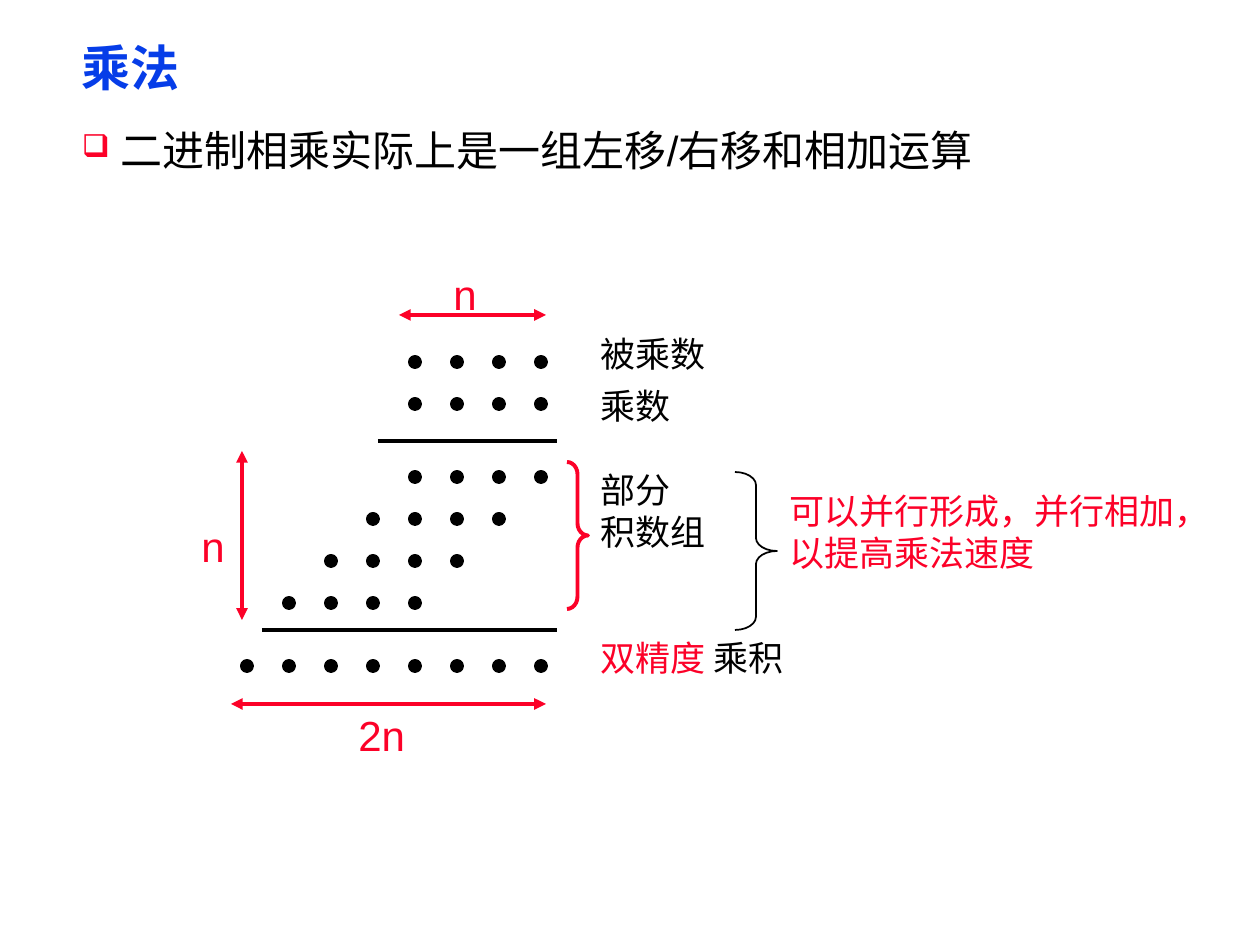
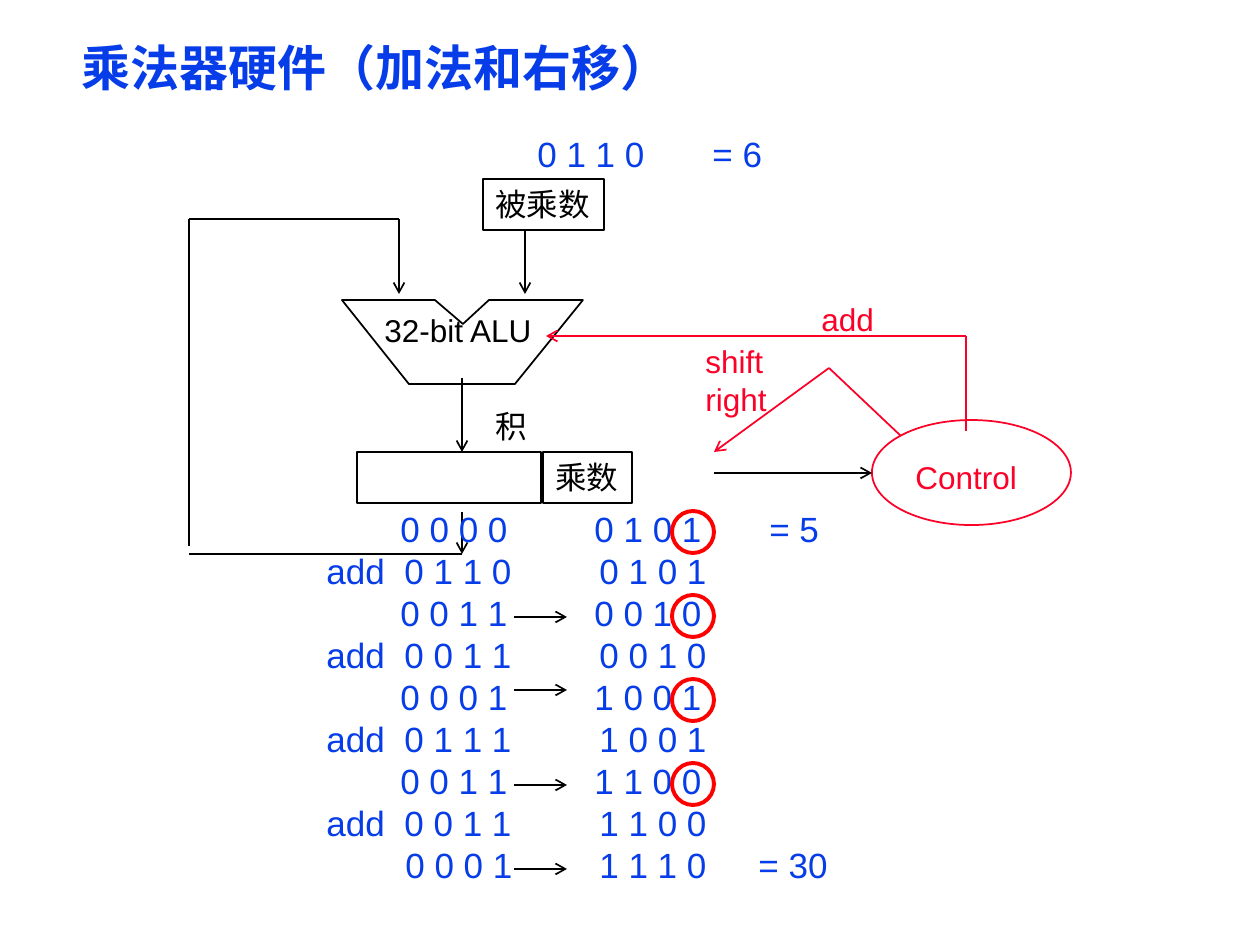
"""Builds two slides on binary multiplication: dot diagram and multiplier hardware."""
from dataclasses import dataclass
from lxml import etree
from pptx import Presentation
from pptx import util as u
from pptx.dml.color import RGBColor
from pptx.enum import lang, shapes, text
from pptx.oxml.ns import qn

EMU_PER_PX = 914400 // 126


@dataclass(frozen=True)
class Theme:
    font: str = "Arial"
    black: str = "000000"
    blue: str = "063DE8"
    red: str = "FC0128"
    ring: str = "FF0000"
    title: int = 28
    body: int = 24
    label: int = 20
    small: int = 18
    thick: float = 2.25
    thin: float = 1
    hair: float = 0.75


T = Theme()
TITLE_BOX = (73, 42, 1124, 58)
TITLES = ["乘法", "乘法器硬件(加法和右移)".replace("(", "(").replace(")", ")")]
TITLES[1] = "乘法器硬件\uff08加法和右移\uff09"
BULLET = "二进制相乘实际上是一组左移/右移和相加运算"

DOT_LEFT, DOT_STEP, DOT_SIZE = 242, 42, 10
DOT_ROWS = [(357, 4, 4), (399, 4, 4), (472, 4, 4), (514, 3, 4),
            (556, 2, 4), (598, 1, 4), (661, 0, 8)]
RULES = [(378, 441, 557, 441), (262, 630, 557, 630)]
SPANS = [(399, 315, 546, 315), (231, 704, 546, 704), (242, 620, 242, 451)]
SPAN_LABELS = [("n", 441, 262), ("2n", 346, 703), ("n", 189, 514)]
ROW_LABELS = [("被乘数", (588, 326, 399, 54)), ("乘数", (588, 378, 357, 54)),
              ("部分\n积数组", (588, 462, 220, 97)),
              ([("双精度 ", T.red), ("乘积", T.black)], (588, 630, 504, 55))]
BRACES = [((567, 462, 21, 147), 0.583, T.red, T.thick),
          ((735, 472, 42, 158), 0.312, T.black, T.thin)]
REMARK = ("可以并行形成\uff0c并行相加\uff0c以提高乘法速度", (777, 483, 451, 97))

ALU = [(342, 300), (435, 300), (463, 324), (489, 300), (583, 300), (515, 384), (409, 384)]
REGISTERS = [("被乘数", (483, 179, 121, 51)), ("", (357, 452, 184, 51)),
             ("乘数", (543, 452, 89, 51))]
CONTROL = (872, 420, 199, 105)
HARDWARE_LABELS = [("32-bit ALU", T.black, (372, 305, 174, 51)),
                   ("积", T.black, (483, 401, 57, 51)),
                   ("Control", T.red, (903, 452, 129, 51)),
                   ("add", T.red, (809, 294, 78, 51)),
                   ("shift\nright", T.red, (693, 336, 89, 89))]
WIRES = [(T.black, False, [(462, 554, 189, 554), (189, 546, 189, 219), (189, 219, 399, 219)]),
         (T.black, True, [(462, 378, 462, 452), (525, 229, 525, 294), (462, 512, 462, 554),
                          (399, 219, 399, 294), (714, 473, 872, 473)]),
         (T.red, False, [(966, 336, 966, 431), (901, 436, 829, 368)]),
         (T.red, True, [(966, 336, 546, 336), (829, 368, 714, 452)])]

STEP_TOP, STEP_PITCH = 501, 42
STEPS = ["0 0 0 0\t0 1 0 1\t= 5", "add\t0 1 1 0\t0 1 0 1", "0 0 1 1\t0 0 1 0",
         "add\t0 0 1 1\t0 0 1 0", "0 0 0 1\t1 0 0 1", "add\t0 1 1 1\t1 0 0 1",
         "0 0 1 1\t1 1 0 0", "add\t0 0 1 1\t1 1 0 0", "0 0 0 1\t1 1 1 0"]
ADD_LAYOUT = (314, 411, (78, 273))
VALUE_LAYOUT = (388, 338, (194, 369))
RINGS = [(672, 511 + 2 * STEP_PITCH * i, 42, 42) for i in range(4)]
SHIFT_YS = [617, 690, 785, 869]


def px(value):
    return u.Emu(round(value * EMU_PER_PX))


def rgb(color):
    return RGBColor.from_string(color)


def sub(parent, tag, **attrs):
    return etree.SubElement(parent, qn(tag), attrs)


def write(tf, content, size=T.label, color=T.black, bold=False, wrap=True,
          spacing=None, margins=None, tabs=(), bullet=None):
    """Fill a text frame; content is a string or a list of (text, color) runs."""
    tf.word_wrap = wrap
    tf.auto_size = text.MSO_AUTO_SIZE.SHAPE_TO_FIT_TEXT
    tf.vertical_anchor = text.MSO_ANCHOR.TOP
    if margins:
        tf.margin_left = tf.margin_right = px(margins[0])
        tf.margin_top = tf.margin_bottom = px(margins[1])
    rows = [[(t, color)] for t in content.split("\n")] if isinstance(content, str) else [content]
    for i, row in enumerate(rows):
        p = tf.add_paragraph() if i else tf.paragraphs[0]
        p.alignment = text.PP_ALIGN.LEFT
        if spacing:
            p.line_spacing = spacing
        pPr = p._p.get_or_add_pPr()
        if bullet:
            pPr.set("marL", str(px(39)))
            pPr.set("indent", str(px(-39)))
            sub(sub(pPr, "a:buClr"), "a:srgbClr", val=T.red)
            sub(pPr, "a:buSzPct", val="75000")
            sub(pPr, "a:buChar", char=bullet)
        if tabs:
            stops = sub(pPr, "a:tabLst")
            for stop in tabs:
                sub(stops, "a:tab", pos=str(px(stop)), algn="l")
        for words, tint in row:
            r = p.add_run()
            r.text = words
            r.font.name, r.font.size, r.font.bold = T.font, u.Pt(size), bold
            r.font.color.rgb = rgb(tint)
            r.font.language_id = lang.MSO_LANGUAGE_ID.SIMPLIFIED_CHINESE


def label(s, content, box, **fmt):
    write(s.shapes.add_textbox(*map(px, box)).text_frame, content, **fmt)


def outline(sp, color, width, fill=None):
    sp.shadow.inherit = False
    if fill:
        sp.fill.solid()
        sp.fill.fore_color.rgb = rgb(fill)
    else:
        sp.fill.background()
    sp.line.color.rgb = rgb(color)
    sp.line.width = u.Pt(width)
    return sp


def shape(s, kind, box, color=T.black, width=T.thin, fill=None):
    return outline(s.shapes.add_shape(kind, *map(px, box)), color, width, fill)


def line(s, ends, color=T.black, width=T.thin, head=None, tail=None):
    c = s.shapes.add_connector(shapes.MSO_CONNECTOR.STRAIGHT, *map(px, ends))
    c.line.color.rgb = rgb(color)
    c.line.width = u.Pt(width)
    ln = c.line._get_or_add_ln()
    for tag, kind in (("a:headEnd", head), ("a:tailEnd", tail)):
        if kind:
            sub(ln, tag, type=kind)
    sub(c._element.spPr, "a:effectLst")


def add_slide(prs, title):
    s = prs.slides.add_slide(prs.slide_layouts[5])
    sp = s.shapes.title
    sp.left, sp.top, sp.width, sp.height = map(px, TITLE_BOX)
    write(sp.text_frame, title, size=T.title, color=T.blue, bold=True,
          spacing=0.87, margins=(9, 4))
    return s


def dot_diagram(s):
    label(s, BULLET, (73, 126, 1124, 53), size=T.body, spacing=0.9, margins=(9, 4), bullet="❑")
    for top, first, count in DOT_ROWS:
        for col in range(first, first + count):
            shape(s, shapes.MSO_SHAPE.OVAL, (DOT_LEFT + DOT_STEP * col, top, DOT_SIZE, DOT_SIZE),
                  width=T.thick, fill=T.black)
    for ends in RULES:
        line(s, ends, width=T.thick)
    for ends in SPANS:
        line(s, ends, T.red, T.thick, head="triangle", tail="triangle")
    for words, left, top in SPAN_LABELS:
        label(s, words, (left, top, 73, 63), size=T.body, color=T.red)
    for words, box in ROW_LABELS:
        label(s, words, box)
    for box, curl, color, width in BRACES:
        sp = shape(s, shapes.MSO_SHAPE.RIGHT_BRACE, box, color, width)
        sp.adjustments[0] = curl
    label(s, *REMARK, color=T.red)


def hardware(s):
    path = s.shapes.build_freeform(*ALU[0], scale=EMU_PER_PX)
    path.add_line_segments(ALU[1:], close=True)
    outline(path.convert_to_shape(), T.black, T.thin)
    for words, box in REGISTERS:
        sp = shape(s, shapes.MSO_SHAPE.RECTANGLE, box, width=T.hair)
        if words:
            write(sp.text_frame, words, size=T.small, wrap=False)
    shape(s, shapes.MSO_SHAPE.OVAL, CONTROL, T.red)
    for color, arrow, wires in WIRES:
        for ends in wires:
            line(s, ends, color, tail="arrow" if arrow else None)
    for words, color, box in HARDWARE_LABELS:
        label(s, words, box, size=T.small, color=color, wrap=False)
    label(s, "0 1 1 0\t= 6", (525, 126, 251, 55), color=T.blue, tabs=(175,))
    for i, step in enumerate(STEPS):
        left, width, tabs = ADD_LAYOUT if step.startswith("add") else VALUE_LAYOUT
        if i == 0:
            width = 446
        if i == len(STEPS) - 1:
            left += 5
        label(s, step, (left, STEP_TOP + STEP_PITCH * i, width, 55), color=T.blue, tabs=tabs)
    label(s, "= 30", (746, 837, 95, 55), color=T.blue, wrap=False)
    for box in RINGS:
        shape(s, shapes.MSO_SHAPE.OVAL, box, T.ring, T.thick)
    for y in SHIFT_YS:
        line(s, (514, y, 567, y), tail="arrow")


prs = Presentation()
prs.slide_width, prs.slide_height = px(1260), px(945)
for heading, draw in zip(TITLES, (dot_diagram, hardware)):
    draw(add_slide(prs, heading))
prs.save("out.pptx")
